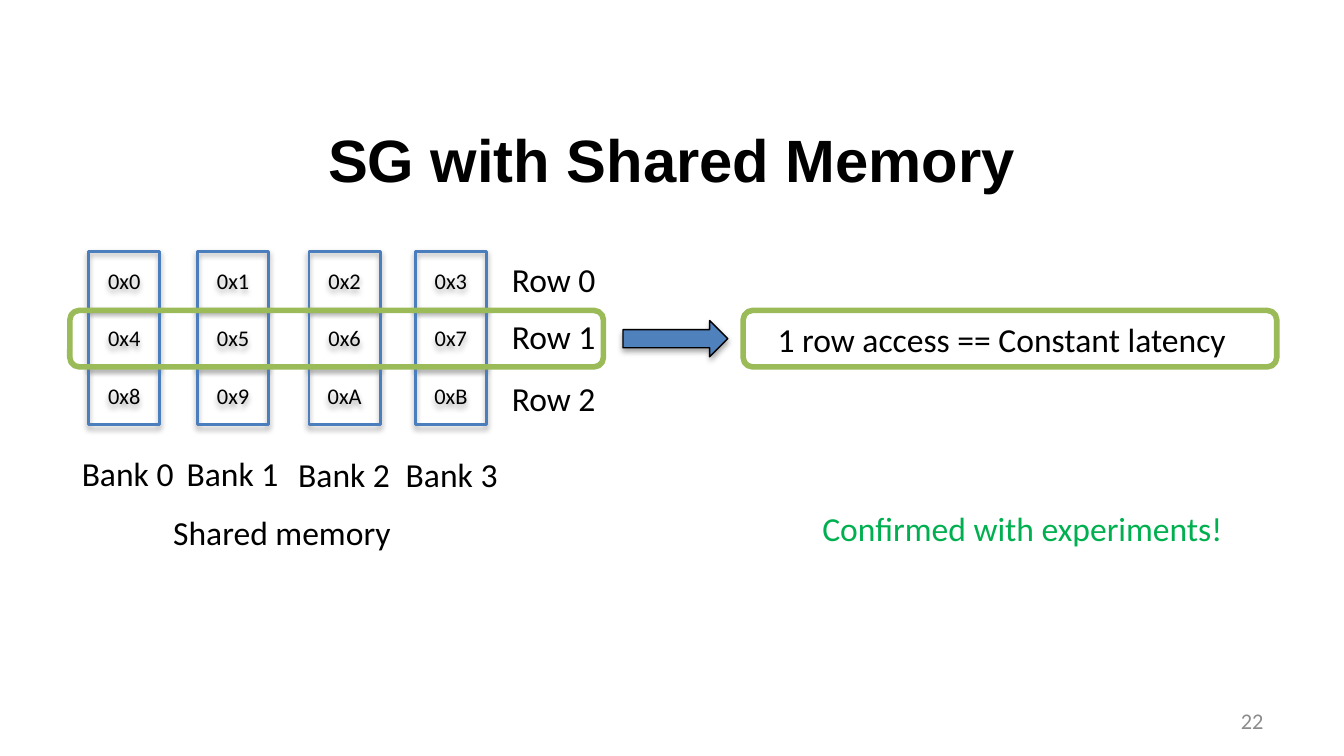
from dataclasses import dataclass

from lxml import etree
from pptx import Presentation
from pptx.dml.color import RGBColor
from pptx.enum.shapes import MSO_SHAPE
from pptx.enum.text import MSO_ANCHOR, MSO_AUTO_SIZE, PP_ALIGN
from pptx.oxml.ns import qn
from pptx.shapes.autoshape import Shape
from pptx.slide import Slide
from pptx.util import Inches, Pt

RECT = MSO_SHAPE.RECTANGLE
ROUNDED = MSO_SHAPE.ROUNDED_RECTANGLE
ARROW = MSO_SHAPE.DOWN_ARROW
LEFT, CENTER, RIGHT = PP_ALIGN.LEFT, PP_ALIGN.CENTER, PP_ALIGN.RIGHT
TOP, MIDDLE = MSO_ANCHOR.TOP, MSO_ANCHOR.MIDDLE
FIT_SHAPE, NO_FIT = MSO_AUTO_SIZE.SHAPE_TO_FIT_TEXT, MSO_AUTO_SIZE.NONE

BLACK = "000000"
BLUE = "4F81BD"
CELL_BLUE = "4B7EBC"
ROW_GREEN = "9BBB59"
CONFIRM_GREEN = "00B050"
GRAY = "8C8C8C"

SLIDE_WIDTH = 10
SLIDE_HEIGHT = SLIDE_WIDTH * 9 / 16
CELL_WIDTH, CELL_HEIGHT = 0.53, 0.43
BANK_TOP = 1.87
LABEL_HEIGHT = 0.4
ROW_LABEL_LEFT = 3.71


@dataclass(frozen=True)
class Box:
    left: float
    top: float
    width: float
    height: float

    def emu(self) -> tuple[int, ...]:
        return tuple(Inches(v) for v in (self.left, self.top, self.width, self.height))


@dataclass(frozen=True)
class Style:
    size: float = 18
    color: str = BLACK
    font: str = "Calibri"
    bold: bool = False
    align: PP_ALIGN = LEFT
    anchor: MSO_ANCHOR = TOP


@dataclass(frozen=True)
class Bank:
    left: float
    label_left: float
    label_top: float


BANKS = (
    Bank(0.66, 0.51, 3.32),
    Bank(1.47, 1.29, 3.32),
    Bank(2.3, 2.12, 3.33),
    Bank(3.09, 2.92, 3.33),
)
ROW_LABEL_TOPS = (1.88, 2.3, 2.76)

LABEL = Style()
CELL = Style(size=12, align=CENTER, anchor=MIDDLE)
CLAIM = Style(align=CENTER, anchor=MIDDLE)
TITLE = Style(size=32, font="Arial", bold=True, align=CENTER, anchor=MIDDLE)
CONFIRMATION = Style(color=CONFIRM_GREEN)
PAGE_NUMBER = Style(size=12, color=GRAY, align=RIGHT, anchor=MIDDLE)


def rgb(color: str) -> RGBColor:
    return RGBColor.from_string(color)


def write(shape: Shape, text: str, style: Style, wrap: bool = True) -> None:
    frame = shape.text_frame
    frame.text = text
    frame.word_wrap = wrap
    frame.vertical_anchor = style.anchor
    paragraph = frame.paragraphs[0]
    paragraph.alignment = style.align
    font = paragraph.runs[0].font
    font.name = style.font
    font.size = Pt(style.size)
    font.bold = style.bold
    font.color.rgb = rgb(style.color)


def add_text(slide: Slide, box: Box, text: str, style: Style, wrap: bool = True) -> None:
    textbox = slide.shapes.add_textbox(*box.emu())
    write(textbox, text, style, wrap)
    textbox.text_frame.auto_size = FIT_SHAPE if style.anchor == TOP else NO_FIT


def add_outline(slide: Slide, kind: MSO_SHAPE, box: Box, color: str, weight: float) -> Shape:
    shape = slide.shapes.add_shape(kind, *box.emu())
    shape.fill.background()
    shape.line.color.rgb = rgb(color)
    shape.line.width = Pt(weight)
    shape.shadow.inherit = False
    return shape


def add_shadow(shape: Shape) -> None:
    effects = shape.element.spPr.find(qn("a:effectLst"))
    shadow = etree.SubElement(
        effects, qn("a:outerShdw"), blurRad=str(Pt(3.1)), dist=str(Pt(1.8)),
        dir="5400000", rotWithShape="0",
    )
    color = etree.SubElement(shadow, qn("a:srgbClr"), val=BLACK)
    etree.SubElement(color, qn("a:alpha"), val="35000")


def add_bank(slide: Slide, index: int, bank: Bank) -> None:
    for row in range(len(ROW_LABEL_TOPS)):
        box = Box(bank.left, BANK_TOP + row * CELL_HEIGHT, CELL_WIDTH, CELL_HEIGHT)
        cell = add_outline(slide, RECT, box, CELL_BLUE, 1.5)
        add_shadow(cell)
        write(cell, f"0x{row * len(BANKS) + index:X}", CELL)
    label_box = Box(bank.label_left, bank.label_top, 0.89, LABEL_HEIGHT)
    add_text(slide, label_box, f"Bank {index}", LABEL, wrap=False)


def add_arrow(slide: Slide, box: Box) -> None:
    arrow = add_outline(slide, ARROW, box, BLACK, 0.75)
    arrow.rotation = 270
    arrow.fill.solid()
    arrow.fill.fore_color.rgb = rgb(BLUE)
    add_shadow(arrow)


def main() -> None:
    deck = Presentation()
    deck.slide_width, deck.slide_height = Inches(SLIDE_WIDTH), Inches(SLIDE_HEIGHT)
    slide = deck.slides.add_slide(deck.slide_layouts[6])

    add_text(slide, Box(0.5, 0.74, 9, 0.88), "SG with Shared Memory", TITLE)
    for index, bank in enumerate(BANKS):
        add_bank(slide, index, bank)
    for row, top in enumerate(ROW_LABEL_TOPS):
        row_box = Box(ROW_LABEL_LEFT, top, 0.83, LABEL_HEIGHT)
        add_text(slide, row_box, f"Row {row}", LABEL, wrap=False)
    add_text(slide, Box(1.19, 3.76, 1.85, LABEL_HEIGHT), "Shared memory", LABEL)

    add_outline(slide, ROUNDED, Box(0.52, 2.31, 3.97, 0.42), ROW_GREEN, 3)
    claim = add_outline(slide, ROUNDED, Box(5.53, 2.31, 3.97, 0.42), ROW_GREEN, 3)
    write(claim, "1 row access == Constant latency", CLAIM)
    claim.text_frame.margin_right = Inches(0.22)
    add_arrow(slide, Box(4.89, 2.13, 0.27, 0.78))

    confirmation_box = Box(6.02, 3.73, 3.38, LABEL_HEIGHT)
    add_text(slide, confirmation_box, "Confirmed with experiments!", CONFIRMATION)
    add_text(slide, Box(7.17, 5.21, 2.33, 0.3), "22", PAGE_NUMBER)
    deck.save("out.pptx")


if __name__ == "__main__":
    main()
